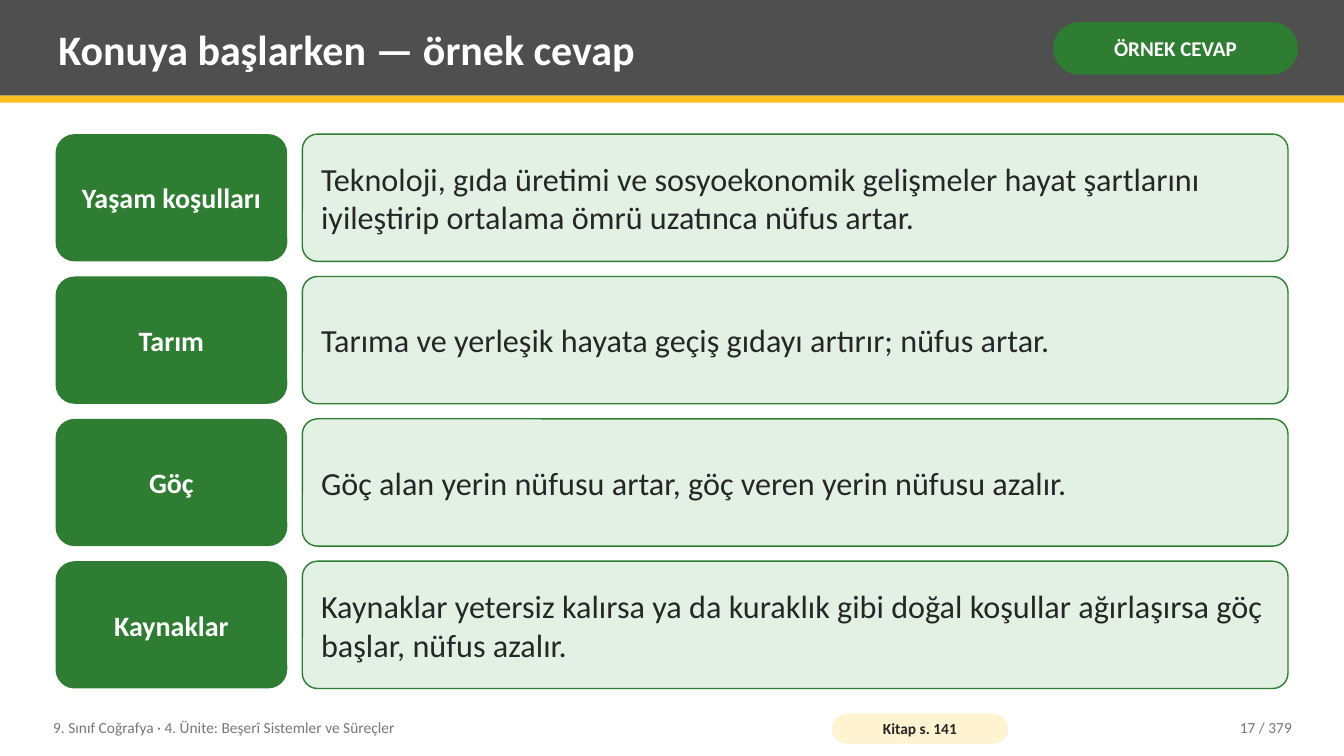
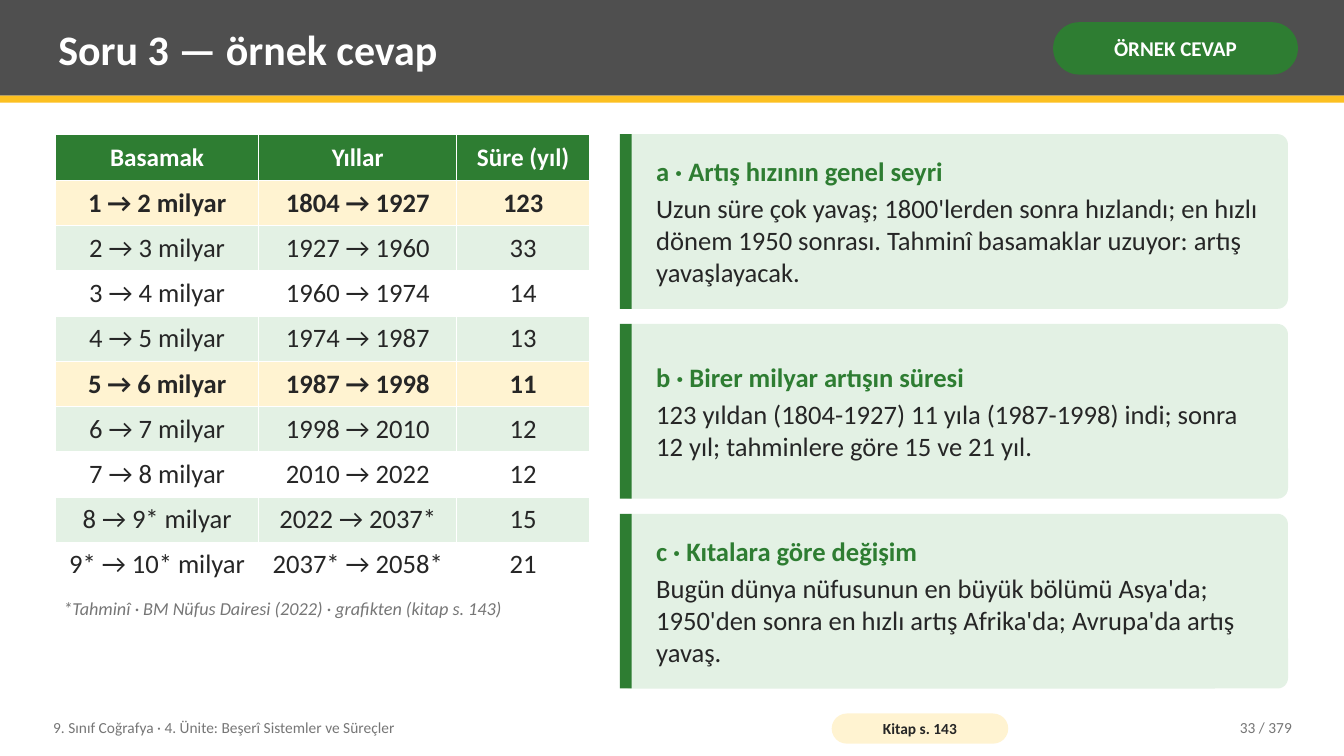
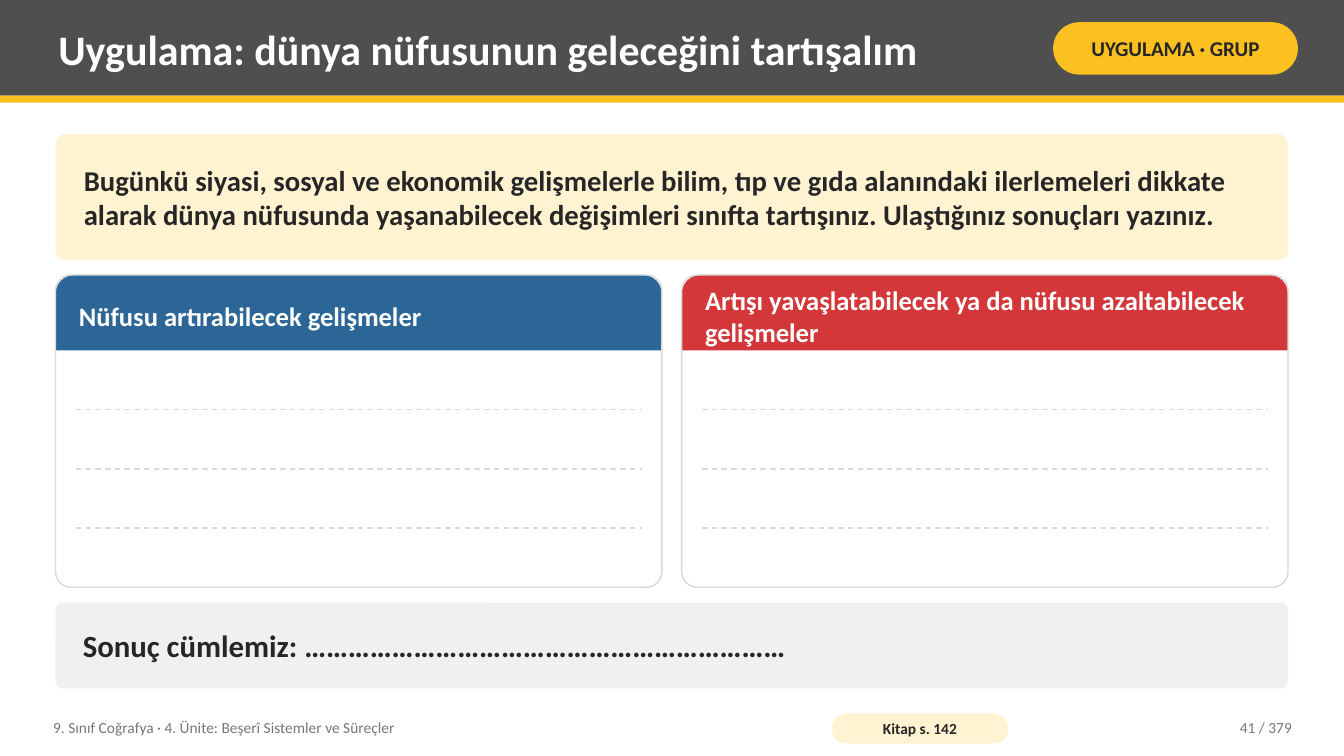
"""Build three geography lesson slides."""
from lxml import etree
from pptx import Presentation
from pptx.dml.color import RGBColor
from pptx.enum.dml import MSO_LINE
from pptx.enum.shapes import MSO_CONNECTOR, MSO_SHAPE
from pptx.enum.text import MSO_ANCHOR, MSO_AUTO_SIZE, PP_ALIGN
from pptx.oxml.ns import qn
from pptx.util import Cm, Pt

RECT = MSO_SHAPE.RECTANGLE
ROUND = MSO_SHAPE.ROUNDED_RECTANGLE
CAPPED = MSO_SHAPE.ROUND_2_SAME_RECTANGLE
STRAIGHT = MSO_CONNECTOR.STRAIGHT
DASH = MSO_LINE.DASH
TOP, MIDDLE = MSO_ANCHOR.TOP, MSO_ANCHOR.MIDDLE
FIXED = MSO_AUTO_SIZE.NONE
LEFT, CENTER, RIGHT = PP_ALIGN.LEFT, PP_ALIGN.CENTER, PP_ALIGN.RIGHT

FONT = "Calibri"
COLORS = {
    "white": "FFFFFF", "dark": "4F4F4F", "ink": "262626", "gray": "767676",
    "rule": "D9D9D9", "pale": "F0F0F0", "gold": "FCC021", "cream": "FFF3D1",
    "green": "2E7D32", "mint": "E3F1E4", "blue": "2C6696", "red": "D3373A",
}
WIDE, HIGH = 33.87, 19.05
EDGE, HEAD, SPAN, DEPTH, GAP = 1.4, 3.38, 31.06, 13.97, 0.38
UNIT = "9. Sınıf Coğrafya · 4. Ünite: Beşerî Sistemler ve Süreçler"

CAUSES = [
    ("Yaşam koşulları", "Teknoloji, gıda üretimi ve sosyoekonomik gelişmeler hayat "
     "şartlarını iyileştirip ortalama ömrü uzatınca nüfus artar."),
    ("Tarım", "Tarıma ve yerleşik hayata geçiş gıdayı artırır; nüfus artar."),
    ("Göç", "Göç alan yerin nüfusu artar, göç veren yerin nüfusu azalır."),
    ("Kaynaklar", "Kaynaklar yetersiz kalırsa ya da kuraklık gibi doğal koşullar "
     "ağırlaşırsa göç başlar, nüfus azalır."),
]
STEPS = [
    ("Basamak", "Yıllar", "Süre (yıl)"),
    ("1 → 2 milyar", "1804 → 1927", "123"),
    ("2 → 3 milyar", "1927 → 1960", "33"),
    ("3 → 4 milyar", "1960 → 1974", "14"),
    ("4 → 5 milyar", "1974 → 1987", "13"),
    ("5 → 6 milyar", "1987 → 1998", "11"),
    ("6 → 7 milyar", "1998 → 2010", "12"),
    ("7 → 8 milyar", "2010 → 2022", "12"),
    ("8 → 9* milyar", "2022 → 2037*", "15"),
    ("9* → 10* milyar", "2037* → 2058*", "21"),
]
HOT = (1, 5)
NOTE = "*Tahminî · BM Nüfus Dairesi (2022) · grafikten (kitap s. 143)"
CARDS = [
    ("a · Artış hızının genel seyri", "Uzun süre çok yavaş; 1800'lerden sonra hızlandı; "
     "en hızlı dönem 1950 sonrası. Tahminî basamaklar uzuyor: artış yavaşlayacak."),
    ("b · Birer milyar artışın süresi", "123 yıldan (1804-1927) 11 yıla (1987-1998) indi; "
     "sonra 12 yıl; tahminlere göre 15 ve 21 yıl."),
    ("c · Kıtalara göre değişim", "Bugün dünya nüfusunun en büyük bölümü Asya'da; 1950'den "
     "sonra en hızlı artış Afrika'da; Avrupa'da artış yavaş."),
]
TASK = ("Bugünkü siyasi, sosyal ve ekonomik gelişmelerle bilim, tıp ve gıda alanındaki "
        "ilerlemeleri dikkate alarak dünya nüfusunda yaşanabilecek değişimleri sınıfta "
        "tartışınız. Ulaştığınız sonuçları yazınız.")
RESULT = "Sonuç cümlemiz: …………………………………………………………"
PANELS = [
    ("Nüfusu artırabilecek gelişmeler", "blue"),
    ("Artışı yavaşlatabilecek ya da nüfusu azaltabilecek gelişmeler", "red"),
]


def rgb(name):
    """Return a named colour."""
    return RGBColor.from_string(COLORS[name])


def style(par, size, color="ink", bold=False, italic=False, align=LEFT):
    """Format a whole paragraph."""
    par.alignment = align
    font = par.font
    font.name, font.size, font.bold, font.italic = FONT, Pt(size), bold, italic
    font.color.rgb = rgb(color)


def pad(frame, sides, anchor=MIDDLE):
    """Set wrapping, anchor and left, top, right, bottom insets."""
    frame.word_wrap, frame.auto_size = True, FIXED
    frame.vertical_anchor = anchor
    (frame.margin_left, frame.margin_top,
     frame.margin_right, frame.margin_bottom) = map(Cm, sides)


def write(shape, text, size, sides=(0.2, 0.1, 0.2, 0.1), anchor=MIDDLE, **look):
    """Put one styled paragraph in a shape."""
    pad(shape.text_frame, sides, anchor)
    shape.text_frame.text = text
    style(shape.text_frame.paragraphs[0], size, **look)


def block(slide, kind, place, fill=None, line=None, curve=None):
    """Add a preset shape with fill, outline and corner curve."""
    shape = slide.shapes.add_shape(kind, *map(Cm, place))
    shape.shadow.inherit = False
    if fill:
        shape.fill.solid()
        shape.fill.fore_color.rgb = rgb(fill)
    else:
        shape.fill.background()
    if line:
        shape.line.color.rgb = rgb(line)
        shape.line.width = Pt(1)
    else:
        shape.line.fill.background()
    if curve is not None:
        shape.adjustments[0] = curve
    return shape


def label(slide, place, text, size, **look):
    """Add a plain text box."""
    write(slide.shapes.add_textbox(*map(Cm, place)), text, size, **look)


def stack(count):
    """Return the tops and the height of equal rows in the content area."""
    tall = (DEPTH - GAP * (count - 1)) / count
    return [HEAD + i * (tall + GAP) for i in range(count)], tall


def start(deck, title, tag, book, page, fill="green", color="white"):
    """Add a slide with its title band, tag and footer."""
    slide = deck.slides.add_slide(deck.slide_layouts[5])
    block(slide, RECT, (0, 0, WIDE, 2.41), "dark")
    band = block(slide, RECT, (0, 2.41, WIDE, 0.18), "gold")
    head = slide.shapes.title
    head.left, head.top, head.width, head.height = map(Cm, (1.27, 0.18, 24.77, 2.08))
    write(head, title, 30, color="white", bold=True)
    band._element.addnext(head._element)
    pill = block(slide, ROUND, (26.54, 0.56, 6.17, 1.32), fill, curve=0.5)
    write(pill, tag, 15, (0.13, 0.05, 0.13, 0.05), color=color, bold=True, align=CENTER)
    label(slide, (1.14, 17.88, 19.3, 0.91), UNIT, 11, color="gray")
    pill = block(slide, ROUND, (20.96, 17.98, 4.45, 0.76), "cream", curve=0.5)
    write(pill, f"Kitap s. {book}", 11, (0.1, 0, 0.1, 0), bold=True, align=CENTER)
    label(slide, (28.7, 17.88, 4.06, 0.91), f"{page} / 379", 11, color="gray", align=RIGHT)
    return slide


def cause(slide, top, tall, name, text):
    """Add a row with a green name and its answer."""
    sides = (0.36, 0.2, 0.36, 0.2)
    box = block(slide, ROUND, (EDGE, top, 5.84, tall), "green", curve=0.15)
    write(box, name, 20, sides, color="white", bold=True, align=CENTER)
    box = block(slide, ROUND, (7.62, top, 24.84, tall), "mint", "green", 0.12)
    write(box, text, 23, sides)


def card(slide, top, tall, name, text):
    """Add a mint card with a green bar, heading and answer."""
    box = block(slide, ROUND, (15.62, top, 16.84, tall), "mint", curve=0.06)
    write(box, name, 19, (0.84, 0.25, 0.45, 0.25), color="green", bold=True)
    box.text_frame.paragraphs[0].space_after = Pt(4)
    par = box.text_frame.add_paragraph()
    par.text = text
    style(par, 19)
    block(slide, RECT, (15.62, top, 0.3, tall), "green")


def border(cell):
    """Draw thin white lines round a cell."""
    props = cell._tc.get_or_add_tcPr()
    for side in ("a:lnL", "a:lnR", "a:lnT", "a:lnB"):
        line = etree.SubElement(props, qn(side), w="12192")
        fill = etree.SubElement(line, qn("a:solidFill"))
        etree.SubElement(fill, qn("a:srgbClr"), val=COLORS["white"])


def grid(slide):
    """Add the table of steps."""
    cols = (5.12, 4.99, 3.35)
    place = (EDGE, HEAD, sum(cols), 11.46)
    table = slide.shapes.add_table(len(STEPS), len(cols), *map(Cm, place)).table
    table.horz_banding = False
    for col, wide in zip(table.columns, cols):
        col.width = Cm(wide)
    for i, row in enumerate(STEPS):
        table.rows[i].height = Cm(1.14 if i else 1.17)
        fill = "green" if i == 0 else "cream" if i in HOT else "white" if i % 2 else "mint"
        for j, text in enumerate(row):
            cell = table.cell(i, j)
            border(cell)
            cell.fill.solid()
            cell.fill.fore_color.rgb = rgb(fill)
            cell.vertical_anchor = MIDDLE
            cell.margin_left = cell.margin_right = Cm(0.15)
            cell.margin_top = cell.margin_bottom = Cm(0.13)
            cell.text = text
            style(cell.text_frame.paragraphs[0], 19 if i else 18, "ink" if i else "white",
                  bold=i == 0 or i in HOT, align=CENTER)


def rule(slide, left, right, top):
    """Add a dashed writing line."""
    line = slide.shapes.add_connector(STRAIGHT, *map(Cm, (left, top, right, top)))
    line.line.color.rgb = rgb("rule")
    line.line.width = Pt(1)
    line.line.dash_style = DASH
    etree.SubElement(line._element.spPr, qn("a:effectLst"))


def panel(slide, left, wide, name, color):
    """Add a framed panel with a heading and lines to write on."""
    top, tall, cap, count = 6.93, 7.87, 1.9, 3
    head = block(slide, CAPPED, (left, top, wide, cap), color, curve=0.25)
    write(head, name, 19, (0.45, 0.1, 0.45, 0.1), color="white", bold=True)
    block(slide, ROUND, (left, top, wide, tall), line="rule", curve=0.05)
    step = (tall - cap) / (count + 1)
    for i in range(1, count + 1):
        rule(slide, left + 0.51, left + wide - 0.51, top + cap + i * step)


def banner(slide, top, tall, fill, text, size):
    """Add a full-width box with bold text."""
    box = block(slide, ROUND, (EDGE, top, SPAN, tall), fill, curve=0.08)
    write(box, text, size, (0.64, 0.2, 0.64, 0.2), bold=True)


def main():
    """Build and save the deck."""
    deck = Presentation()
    deck.slide_width, deck.slide_height = Cm(WIDE), Cm(HIGH)

    slide = start(deck, "Konuya başlarken — örnek cevap", "ÖRNEK CEVAP", 141, 17)
    tops, tall = stack(len(CAUSES))
    for top, item in zip(tops, CAUSES):
        cause(slide, top, tall, *item)

    slide = start(deck, "Soru 3 — örnek cevap", "ÖRNEK CEVAP", 143, 33)
    grid(slide)
    label(slide, (EDGE, 14.96, 13.46, 0.89), NOTE, 13, anchor=TOP, color="gray", italic=True)
    tops, tall = stack(len(CARDS))
    for top, item in zip(tops, CARDS):
        card(slide, top, tall, *item)

    slide = start(deck, "Uygulama: dünya nüfusunun geleceğini tartışalım",
                  "UYGULAMA · GRUP", 142, 41, "gold", "ink")
    banner(slide, HEAD, 3.18, "cream", TASK, 20.5)
    space = 0.5
    wide = (SPAN - space) / 2
    for i, item in enumerate(PANELS):
        panel(slide, EDGE + i * (wide + space), wide, *item)
    banner(slide, 15.19, 2.16, "pale", RESULT, 22)

    deck.save("out.pptx")


if __name__ == "__main__":
    main()
